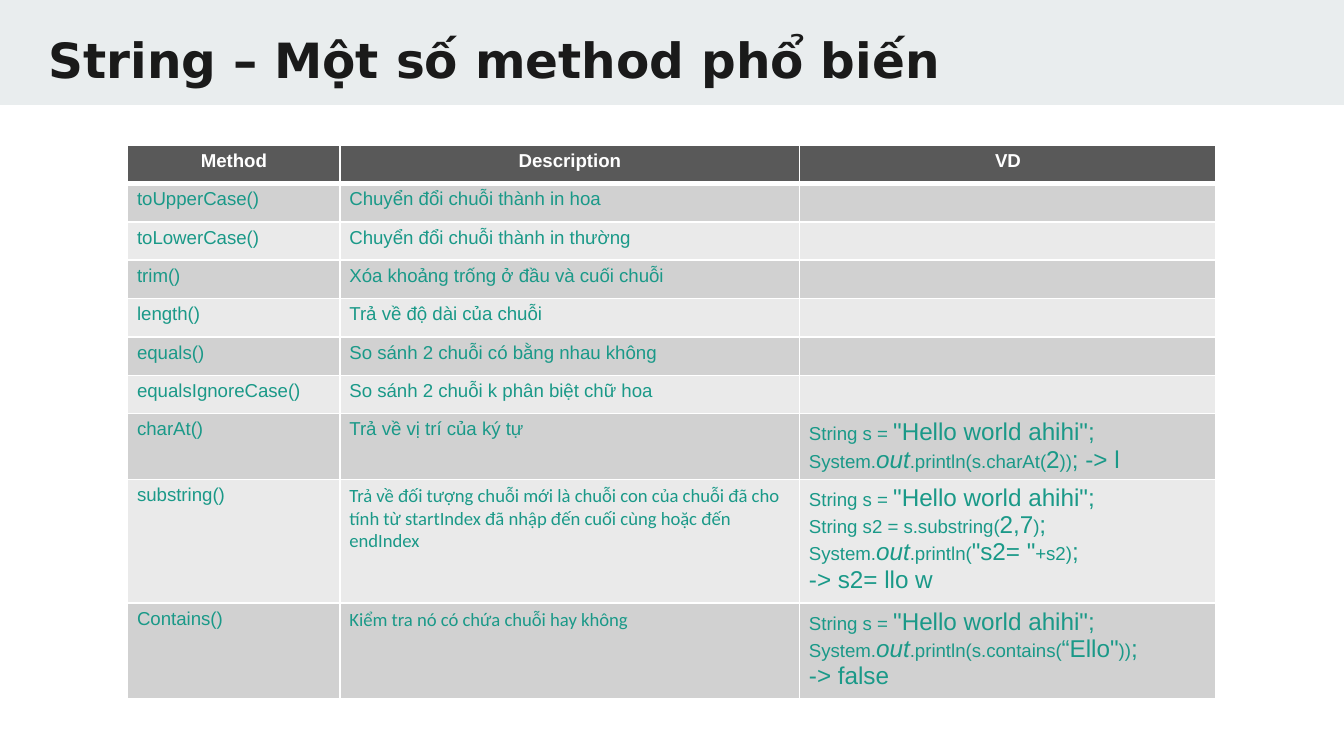
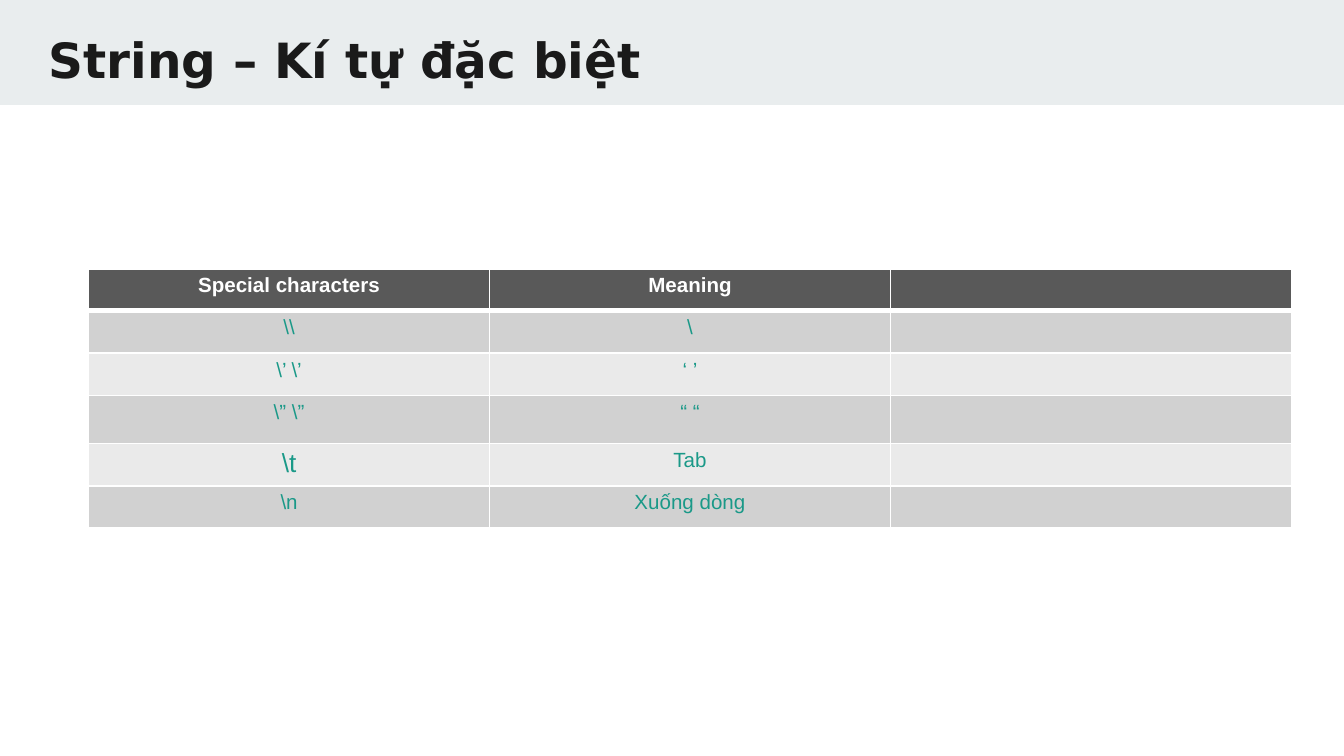
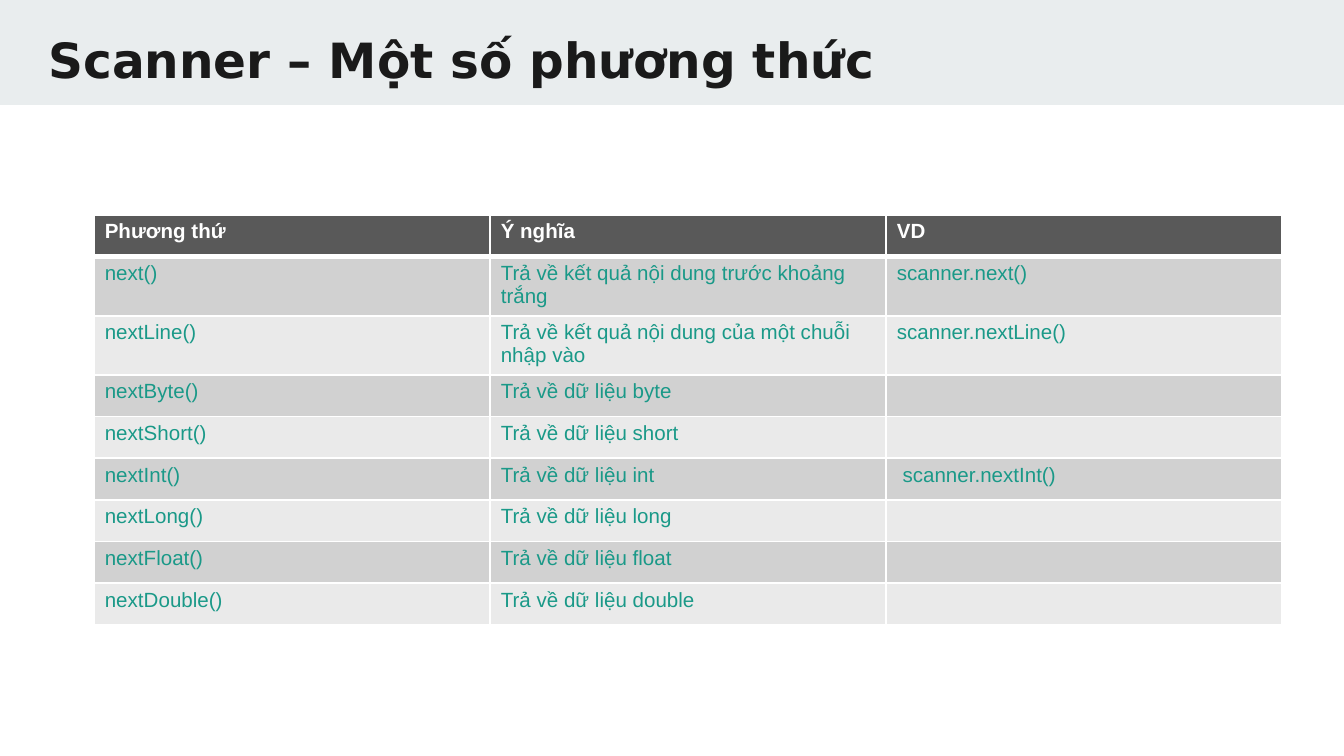
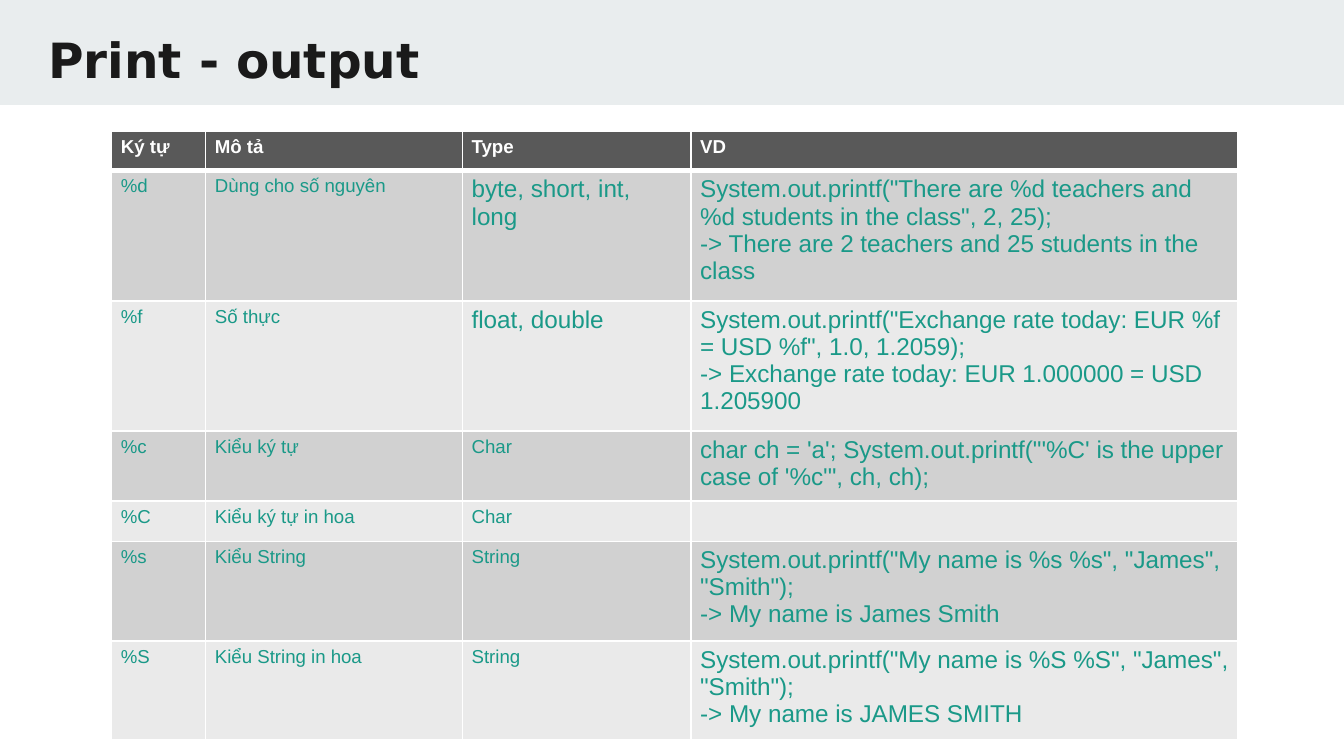
from copy import deepcopy
from dataclasses import dataclass
from typing import NamedTuple, Optional

from lxml import etree
from pptx import Presentation
from pptx.dml.color import RGBColor
from pptx.enum import shapes, text
from pptx.oxml import ns
from pptx.util import Inches, Pt

BAND = RGBColor(0xE9, 0xED, 0xEE)
TITLE_INK = RGBColor(0x1A, 0x1A, 0x1A)
TEAL = RGBColor(0x1A, 0x99, 0x88)
WHITE = RGBColor(0xFF, 0xFF, 0xFF)
HEADER = RGBColor(0x59, 0x59, 0x59)
STRIPES = (RGBColor(0xD1, 0xD1, 0xD1), RGBColor(0xEA, 0xEA, 0xEA))

TITLE_FONT = "DejaVu Sans"
BODY_FONT = "Arial"
NOTE_FONT = "Calibri"
CODE_SIZE = 13
TITLE_ONLY = 5
SLIDE_WIDTH = Inches(10)
SLIDE_HEIGHT = SLIDE_WIDTH * 9 // 16


class Piece(NamedTuple):
    """A stretch of text; a closing line feed becomes a line break."""
    text: str
    size: Optional[float] = None
    italic: bool = False
    font: str = BODY_FONT


Paragraph = tuple[Piece, ...]
Cell = str | list[Paragraph]


@dataclass
class TableSlide:
    title: str
    left: float
    top: float
    columns: list[float]
    heights: list[float]
    rows: list[list[Cell]]
    size: float
    side_margin: float
    header_align: text.PP_ALIGN = text.PP_ALIGN.LEFT
    body_align: text.PP_ALIGN = text.PP_ALIGN.LEFT


def code(*lines: str) -> list[Paragraph]:
    """One paragraph in code size for each line."""
    return [(Piece(line, CODE_SIZE),) for line in lines]


def note(words: str) -> list[Paragraph]:
    return [(Piece(words, font=NOTE_FONT),)]


def big(words: str) -> Piece:
    return Piece(words, CODE_SIZE)


HELLO = (Piece("String s = "), big('"Hello world ahihi";\n'))
SYSTEM_OUT = (Piece("System."), Piece("out", CODE_SIZE, italic=True))

METHODS = TableSlide(
    "String – Một số method phổ biến", 0.95, 1.08,
    [1.58, 3.42, 3.1], [2 / 7] * 7 + [0.49, 0.92, 0.71],
    [
        ["Method", "Description", "VD"],
        ["toUpperCase()", "Chuyển đổi chuỗi thành in hoa", ""],
        ["toLowerCase()", "Chuyển đổi chuỗi thành in thường", ""],
        ["trim()", "Xóa khoảng trống ở đầu và cuối chuỗi", ""],
        ["length()", "Trả về độ dài của chuỗi", ""],
        ["equals()", "So sánh 2 chuỗi có bằng nhau không", ""],
        ["equalsIgnoreCase()", "So sánh 2 chuỗi k phân biệt chữ hoa", ""],
        ["charAt()", "Trả về vị trí của ký tự",
         [(*HELLO, *SYSTEM_OUT, Piece(".println(s.charAt("), big("2"),
           Piece("))"), big("; -> l"))]],
        ["substring()",
         note("Trả về đối tượng chuỗi mới là chuỗi con của chuỗi đã cho tính từ "
              "startIndex đã nhập đến cuối cùng hoặc đến endIndex"),
         [(*HELLO, Piece("String s2 = s.substring("), big("2,7"), Piece(")"),
           big(";\n"), *SYSTEM_OUT, Piece(".println("), big('"s2= "'),
           Piece("+s2)"), big(";")),
          (big("-> s2= llo w"),)]],
        ["Contains()", note("Kiểm tra nó có chứa chuỗi hay không"),
         [(*HELLO, *SYSTEM_OUT, Piece(".println(s.contains("), big('“Ello"'),
           Piece("))"), big(";")),
          (big("-> false"),)]],
    ],
    10, 0.07, header_align=text.PP_ALIGN.CENTER)

SPECIAL_CHARACTERS = TableSlide(
    "String – Kí tự đặc biệt", 0.66, 2,
    [8.95 / 3] * 3, [1.57 / 5] * 3 + [0.36] + [1.57 / 5] * 2,
    [
        ["Special characters", "Meaning", ""],
        [r"\\", "\\", ""],
        [r"\’ \’", "‘ ’", ""],
        [r"\” \”", "“ “", ""],
        [[(Piece(r"\t", 14),)], "Tab", ""],
        [r"\n", "Xuống dòng", ""],
    ],
    11, 0.08, text.PP_ALIGN.CENTER, text.PP_ALIGN.CENTER)

SCANNER = TableSlide(
    "Scanner – Một số phương thức", 0.7, 1.6,
    [8.84 / 3] * 3, [0.31, 0.44, 0.44] + [0.31] * 6,
    [
        ["Phương thứ", "Ý nghĩa", "VD"],
        ["next()", "Trả về kết quả nội dung trước khoảng trắng", "scanner.next()"],
        ["nextLine()", "Trả về kết quả nội dung của một chuỗi nhập vào",
         "scanner.nextLine()"],
        *[[f"next{kind.title()}()", f"Trả về dữ liệu {kind}",
           " scanner.nextInt()" if kind == "int" else ""]
          for kind in ("byte", "short", "int", "long", "float", "double")],
    ],
    11, 0.08)

PRINT = TableSlide(
    "Print - output", 0.83, 0.98,
    [0.7, 1.91, 1.7, 4.07], [0.29, 0.97, 0.97, 0.52, 0.3, 0.74, 0.74],
    [
        ["Ký tự", "Mô tả", "Type", "VD"],
        ["%d", "Dùng cho số nguyên", code("byte, short, int, long"),
         code('System.out.printf("There are %d teachers and %d students in the class", 2, 25);',
              "-> There are 2 teachers and 25 students in the class")],
        ["%f", "Số thực", code("float, double"),
         code('System.out.printf("Exchange rate today: EUR %f = USD %f", 1.0, 1.2059);',
              "-> Exchange rate today: EUR 1.000000 = USD 1.205900")],
        ["%c", "Kiểu ký tự", "Char",
         code("char ch = 'a'; System.out.printf(\"'%C' is the upper case of '%c'\", ch, ch);")],
        ["%C", "Kiểu ký tự in hoa", "Char", ""],
        ["%s", "Kiểu String", "String",
         code('System.out.printf("My name is %s %s", "James", "Smith");',
              "-> My name is James Smith")],
        ["%S", "Kiểu String in hoa", "String",
         code('System.out.printf("My name is %S %S", "James", "Smith");',
              "-> My name is JAMES SMITH")],
    ],
    10, 0.07)


def add_band(slide) -> None:
    """Put the title band on the slide's layout, behind everything else."""
    band = slide.shapes.add_shape(shapes.MSO_SHAPE.RECTANGLE, 0, 0,
                                  SLIDE_WIDTH, Inches(0.78))
    band.shadow.inherit = False
    band.fill.solid()
    band.fill.fore_color.rgb = BAND
    band.line.fill.background()
    slide.slide_layout.shapes._spTree.insert(2, band._element)


def set_title(slide, words: str) -> None:
    title = slide.shapes.title
    title.left, title.top = Inches(0.26), Inches(0.12)
    title.width, title.height = Inches(9.52), Inches(0.59)
    frame = title.text_frame
    frame.text = words
    frame.word_wrap = True
    frame.auto_size = text.MSO_AUTO_SIZE.NONE
    frame.vertical_anchor = text.MSO_ANCHOR.TOP
    frame.margin_left = frame.margin_right = Inches(0.1)
    frame.margin_top = frame.margin_bottom = Inches(0.1)
    paragraph = frame.paragraphs[0]
    paragraph.alignment = text.PP_ALIGN.LEFT
    font = paragraph.runs[0].font
    font.name, font.size, font.bold = TITLE_FONT, Pt(26), True
    font.color.rgb = TITLE_INK


def set_borders(cell, top: float, bottom: float) -> None:
    properties = cell._tc.get_or_add_tcPr()
    for side, width in (("L", 1), ("R", 1), ("T", top), ("B", bottom)):
        line = etree.SubElement(properties, ns.qn(f"a:ln{side}"), w=str(Pt(width)))
        fill = etree.SubElement(line, ns.qn("a:solidFill"))
        etree.SubElement(fill, ns.qn("a:srgbClr"), val=str(WHITE))


def add_piece(paragraph, piece: Piece, size: float, color: RGBColor, bold: bool) -> None:
    run = paragraph.add_run()
    run.text = piece.text.rstrip("\n")
    font = run.font
    font.name, font.size = piece.font, Pt(piece.size or size)
    font.bold, font.italic = bold, piece.italic
    font.color.rgb = color
    if piece.text.endswith("\n"):
        paragraph.add_line_break()
        paragraph._p[-1].append(deepcopy(run._r.rPr))


def fill_cell(cell, content: Cell, row: int, table_slide: TableSlide) -> None:
    is_header = row == 0
    set_borders(cell, top=3 if row == 1 else 1, bottom=3 if is_header else 1)
    cell.fill.solid()
    cell.fill.fore_color.rgb = HEADER if is_header else STRIPES[(row - 1) % 2]
    cell.margin_left = cell.margin_right = Inches(table_slide.side_margin)
    cell.margin_top = cell.margin_bottom = Inches(0.04)
    frame = cell.text_frame
    if not content:
        etree.SubElement(frame.paragraphs[0]._p, ns.qn("a:endParaRPr"),
                         sz=str(round(table_slide.size * 100)))
        return
    paragraphs = [(Piece(content),)] if isinstance(content, str) else content
    for index, pieces in enumerate(paragraphs):
        paragraph = frame.add_paragraph() if index else frame.paragraphs[0]
        paragraph.alignment = (table_slide.header_align if is_header
                               else table_slide.body_align)
        for piece in pieces:
            add_piece(paragraph, piece, table_slide.size,
                      WHITE if is_header else TEAL, is_header)


def add_method_table(slide, table_slide: TableSlide) -> None:
    table = slide.shapes.add_table(
        len(table_slide.rows), len(table_slide.columns),
        Inches(table_slide.left), Inches(table_slide.top),
        Inches(sum(table_slide.columns)), Inches(sum(table_slide.heights))).table
    for column, width in zip(table.columns, table_slide.columns):
        column.width = Inches(width)
    for index, contents in enumerate(table_slide.rows):
        table.rows[index].height = Inches(table_slide.heights[index])
        for cell, content in zip(table.rows[index].cells, contents):
            fill_cell(cell, content, index, table_slide)


def main() -> None:
    deck = Presentation()
    deck.slide_width, deck.slide_height = SLIDE_WIDTH, SLIDE_HEIGHT
    for index, table_slide in enumerate((METHODS, SPECIAL_CHARACTERS, SCANNER, PRINT)):
        slide = deck.slides.add_slide(deck.slide_layouts[TITLE_ONLY])
        if index == 0:
            add_band(slide)
        set_title(slide, table_slide.title)
        add_method_table(slide, table_slide)
    deck.save("out.pptx")


if __name__ == "__main__":
    main()
